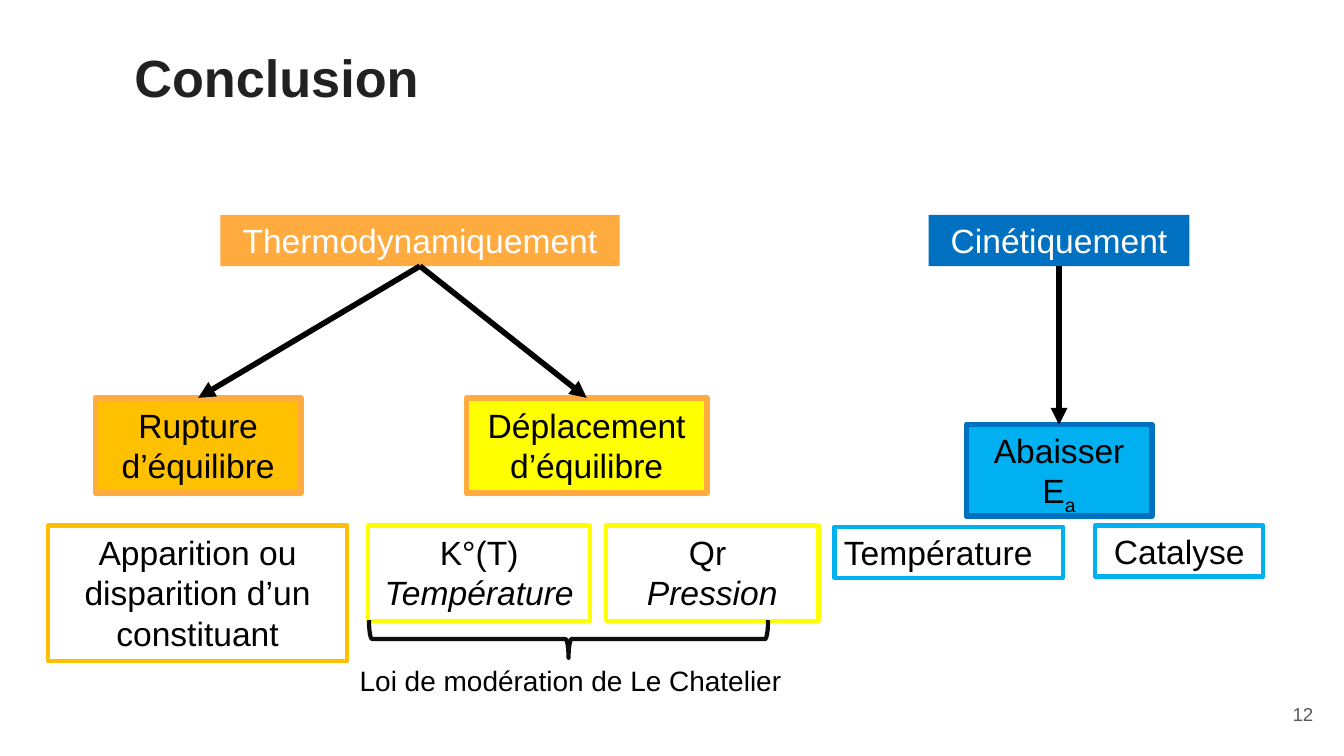
from collections import namedtuple

from lxml.etree import SubElement
from pptx import Presentation
from pptx.dml.color import RGBColor
from pptx.enum.shapes import MSO_CONNECTOR, MSO_SHAPE
from pptx.enum.text import MSO_ANCHOR, MSO_AUTO_SIZE, PP_ALIGN
from pptx.oxml.ns import qn
from pptx.util import Inches, Pt

WHITE = RGBColor(0xFF, 0xFF, 0xFF)
BLACK = RGBColor(0x00, 0x00, 0x00)
TITLE_INK = RGBColor(0x21, 0x21, 0x21)
NUMBER_GREY = RGBColor(0x59, 0x59, 0x59)
BRACE_INK = RGBColor(0x0D, 0x0D, 0x0D)
ORANGE = RGBColor(0xFF, 0xAB, 0x40)
AMBER = RGBColor(0xFF, 0xC0, 0x00)
YELLOW = RGBColor(0xFF, 0xFF, 0x00)
BLUE = RGBColor(0x00, 0x70, 0xC0)
SKY = RGBColor(0x00, 0xB0, 0xF0)

WIDE_INSETS = (0.1, 0.05)
TIGHT_INSETS = (0.07, 0.04)
EVEN_INSETS = (0.1, 0.1)

Box = namedtuple("Box", "left top width height")


def within(box, left, top, width, height):
    """Return the lengths of a part whose corner is measured from the box."""
    return [Inches(value) for value in (box.left + left, box.top + top, width, height)]


def set_frame(frame, insets, anchor=MSO_ANCHOR.TOP, auto_size=MSO_AUTO_SIZE.SHAPE_TO_FIT_TEXT):
    """Set the wrapping, insets, anchor and growth of a text frame."""
    frame.word_wrap = True
    frame.auto_size = auto_size
    frame.vertical_anchor = anchor
    frame.margin_left = frame.margin_right = Inches(insets[0])
    frame.margin_top = frame.margin_bottom = Inches(insets[1])


def add_span(para, text, size=18, color=BLACK, bold=False, italic=False):
    """Add one formatted run to a paragraph and return it."""
    span = para.add_run()
    span.text = text
    span.font.name = "Arial"
    span.font.size = Pt(size)
    span.font.bold = bold
    span.font.italic = italic
    span.font.color.rgb = color
    return span


def add_node(page, place, text, fill=None, line=None, weight=2.25, color=BLACK,
             insets=WIDE_INSETS, align=PP_ALIGN.CENTER, detail=None):
    """Add a labelled rectangle, with an optional second line in italics."""
    node = page.shapes.add_shape(MSO_SHAPE.RECTANGLE, *place)
    node.shadow.inherit = False
    if fill is None:
        node.fill.background()
    else:
        node.fill.solid()
        node.fill.fore_color.rgb = fill
    if line is None:
        node.line.fill.background()
    else:
        node.line.color.rgb = line
        node.line.width = Pt(weight)
    set_frame(node.text_frame, insets)
    para = node.text_frame.paragraphs[0]
    para.alignment = align
    add_span(para, text, color=color)
    if detail:
        para = node.text_frame.add_paragraph()
        para.alignment = align
        add_span(para, detail, italic=True)
    return node


def add_text(page, place, text, size, color, align, insets, **frame_options):
    """Add a one-line text box."""
    box = page.shapes.add_textbox(*place)
    set_frame(box.text_frame, insets, **frame_options)
    para = box.text_frame.paragraphs[0]
    para.alignment = align
    add_span(para, text, size, color)


def add_arrow(page, parent, child):
    """Join the bottom of the parent to the top of the child."""
    arrow = page.shapes.add_connector(MSO_CONNECTOR.STRAIGHT, 0, 0, 0, 0)
    arrow.begin_connect(parent, 2)
    arrow.end_connect(child, 0)
    arrow.line.color.rgb = BLACK
    arrow.line.width = Pt(3)
    SubElement(arrow.line._get_or_add_ln(), qn("a:tailEnd"), type="triangle")
    SubElement(arrow._element.spPr, qn("a:effectLst"))


def add_title(page, box):
    """Place and format the title placeholder."""
    title = page.shapes.title
    title.left, title.top, title.width, title.height = within(box, 0, 0, box.width, box.height)
    set_frame(title.text_frame, EVEN_INSETS, auto_size=MSO_AUTO_SIZE.NONE)
    para = title.text_frame.paragraphs[0]
    para.alignment = PP_ALIGN.LEFT
    add_span(para, "Conclusion", 28, TITLE_INK, bold=True)


def add_thermodynamics(page, box):
    """Draw the thermodynamic branch with its brace and caption."""
    head = add_node(page, within(box, 1.28, 0, 2.97, 0.38), "Thermodynamiquement",
                    fill=ORANGE, color=WHITE, insets=TIGHT_INSETS)
    for text, left, width, fill in (
        ("Rupture d’équilibre", 0.35, 1.53, AMBER),
        ("Déplacement d’équilibre", 3.11, 1.79, YELLOW),
    ):
        child = add_node(page, within(box, left, 1.36, width, 0.71), text,
                         fill=fill, line=ORANGE, weight=3)
        add_arrow(page, head, child)
    for text, detail, left, width, height, line in (
        ("Apparition ou disparition d’un constituant", None, 0, 2.22, 1.01, AMBER),
        ("K°(T)", "Température", 2.38, 1.65, 0.71, YELLOW),
        ("Qr ", "Pression", 4.15, 1.58, 0.71, YELLOW),
    ):
        add_node(page, within(box, left, 2.31, width, height), text, line=line, detail=detail)
    brace = page.shapes.add_shape(MSO_SHAPE.RIGHT_BRACE, *within(box, 3.73, 1.67, 0.28, 2.97))
    brace.rotation = 90
    brace.shadow.inherit = False
    brace.fill.background()
    brace.line.color.rgb = BRACE_INK
    brace.line.width = Pt(2.25)
    add_text(page, within(box, 2.13, 3.29, 3.51, 0.35), "Loi de modération de Le Chatelier",
             15, BLACK, PP_ALIGN.CENTER, WIDE_INSETS)


def add_kinetics(page, box):
    """Draw the kinetic branch."""
    head = add_node(page, within(box, 0.7, 0, 1.94, 0.38), "Cinétiquement",
                    fill=BLUE, color=WHITE, insets=TIGHT_INSETS)
    barrier = add_node(page, within(box, 0.98, 1.56, 1.38, 0.68), "Abaisser E",
                       fill=SKY, line=BLUE, weight=3, insets=TIGHT_INSETS)
    index = add_span(barrier.text_frame.paragraphs[0], "a")
    index.font._element.set("baseline", "-25000")
    add_arrow(page, head, barrier)
    add_node(page, within(box, 0, 2.32, 1.7, 0.38), "Température",
             line=SKY, insets=TIGHT_INSETS, align=PP_ALIGN.LEFT)
    add_node(page, within(box, 1.94, 2.31, 1.25, 0.38), "Catalyse",
             line=SKY, insets=TIGHT_INSETS)


def add_page_number(page, box):
    """Write the page number."""
    add_text(page, within(box, 0, 0, box.width, box.height), "12", 10, NUMBER_GREY,
             PP_ALIGN.RIGHT, EVEN_INSETS, anchor=MSO_ANCHOR.MIDDLE,
             auto_size=MSO_AUTO_SIZE.NONE)


def main():
    """Build the deck and save it."""
    deck = Presentation()
    deck.slide_width = Inches(10)
    deck.slide_height = Inches(10 * 9 / 16)
    page = deck.slides.add_slide(deck.slide_layouts[5])
    page.background.fill.solid()
    page.background.fill.fore_color.rgb = WHITE
    add_title(page, Box(0.9, 0.24, 8.25, 1.19))
    add_thermodynamics(page, Box(0.36, 1.6, 5.73, 3.64))
    add_kinetics(page, Box(6.21, 1.6, 3.19, 2.7))
    add_page_number(page, Box(9.27, 5.1, 0.6, 0.43))
    deck.save("out.pptx")


if __name__ == "__main__":
    main()
